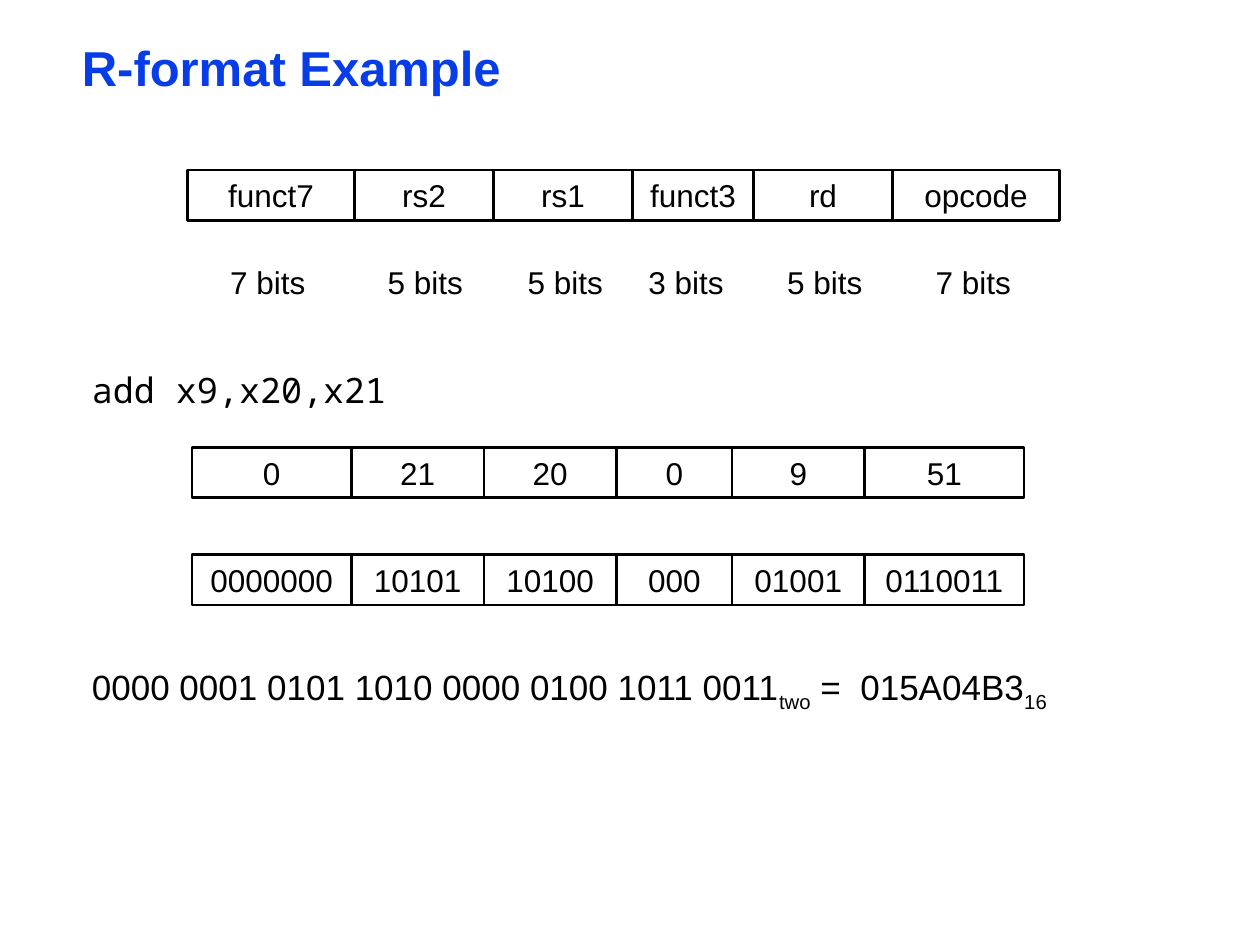
from pptx import Presentation
from pptx.dml.color import RGBColor
from pptx.enum.shapes import MSO_SHAPE as Shape
from pptx.enum.text import MSO_ANCHOR as Anchor, PP_ALIGN as Align
from pptx.util import Pt

BLUE = RGBColor(0x06, 0x3D, 0xE8)
BLACK = RGBColor(0, 0, 0)

# Instruction fields: widths and label positions in points
FIELDS = ["funct7", "rs2", "rs1", "funct3", "rd", "opcode"]
BITS = [7, 5, 5, 3, 5, 7]
FIELD_WIDTHS = {7: 95.5, 5: 79.4, 3: 69.2}
BIT_LABEL_LEFTS = [123.8, 213.8, 293.8, 362.9, 442.1, 527]
DECIMALS = ["0", "21", "20", "0", "9", "51"]
BINARIES = ["0000000", "10101", "10100", "000", "01001", "0110011"]
VALUE_SCALE = 0.954
ROW_HEIGHT = 28.9


def write(frame, *parts, size=18, font="Arial", color=BLACK, bold=False,
          align=Align.CENTER, spacing=1.0, insets=(7.2, 3.6),
          anchor=Anchor.TOP, wrap=True):
    """Write one paragraph; a part given as (text, offset) is a subscript."""
    frame.word_wrap = wrap
    frame.vertical_anchor = anchor
    frame.margin_left = frame.margin_right = Pt(insets[0])
    frame.margin_top = frame.margin_bottom = Pt(insets[1])
    paragraph = frame.paragraphs[0]
    paragraph.alignment = align
    paragraph.line_spacing = spacing
    for part in parts:
        words, offset = part if isinstance(part, tuple) else (part, 0)
        run = paragraph.add_run()
        run.text = words
        run.font.size = Pt(size)
        run.font.name = font
        run.font.bold = bold
        run.font.color.rgb = color
        if offset:
            run.font._element.set("baseline", str(offset * 1000))


def add_text(slide, left, top, width, height, *parts, **text_format):
    box = slide.shapes.add_textbox(Pt(left), Pt(top), Pt(width), Pt(height))
    write(box.text_frame, *parts, **text_format)


def add_line(slide, left, top, height, *parts, **text_format):
    add_text(slide, left, top, 642.2, height, *parts, align=Align.LEFT,
             insets=(5, 2.2), **text_format)


def add_field_row(slide, left, top, values, scale=1.0):
    for value, bits in zip(values, BITS):
        width = FIELD_WIDTHS[bits] * scale
        field = slide.shapes.add_shape(Shape.RECTANGLE, Pt(left), Pt(top),
                                       Pt(width), Pt(ROW_HEIGHT))
        field.shadow.inherit = False
        field.fill.background()
        field.line.color.rgb = BLACK
        field.line.width = Pt(1.5)
        write(field.text_frame, value, anchor=Anchor.MIDDLE)
        left += width


def main():
    deck = Presentation()
    deck.slide_width, deck.slide_height = Pt(720), Pt(540)
    slide = deck.slides.add_slide(deck.slide_layouts[6])

    # Title
    add_line(slide, 41.8, 23.8, 33.8, "R-format Example", size=28, color=BLUE,
             bold=True, spacing=0.87, anchor=Anchor.BOTTOM)

    # Instruction format with the bit count of each field
    add_field_row(slide, 107.1, 97.1, FIELDS)
    for left, bits in zip(BIT_LABEL_LEFTS, BITS):
        add_text(slide, left, 146.9, 58.3, ROW_HEIGHT, f"{bits} bits", wrap=False)

    # Example instruction, in decimal and binary fields
    add_line(slide, 47.5, 211, 30, "add x9,x20,x21", size=20,
             font="Noto Sans Mono", spacing=0.9)
    for top, values in ((255.6, DECIMALS), (316.8, BINARIES)):
        add_field_row(slide, 109.7, top, values, VALUE_SCALE)

    # Encoded word
    add_line(slide, 47.5, 378.6, 30, "0000 0001 0101 1010 0000 0100 1011 0011",
             ("two", -25), " =  015A04B3", ("16", -25), size=20, spacing=0.9)

    deck.save("out.pptx")


main()
